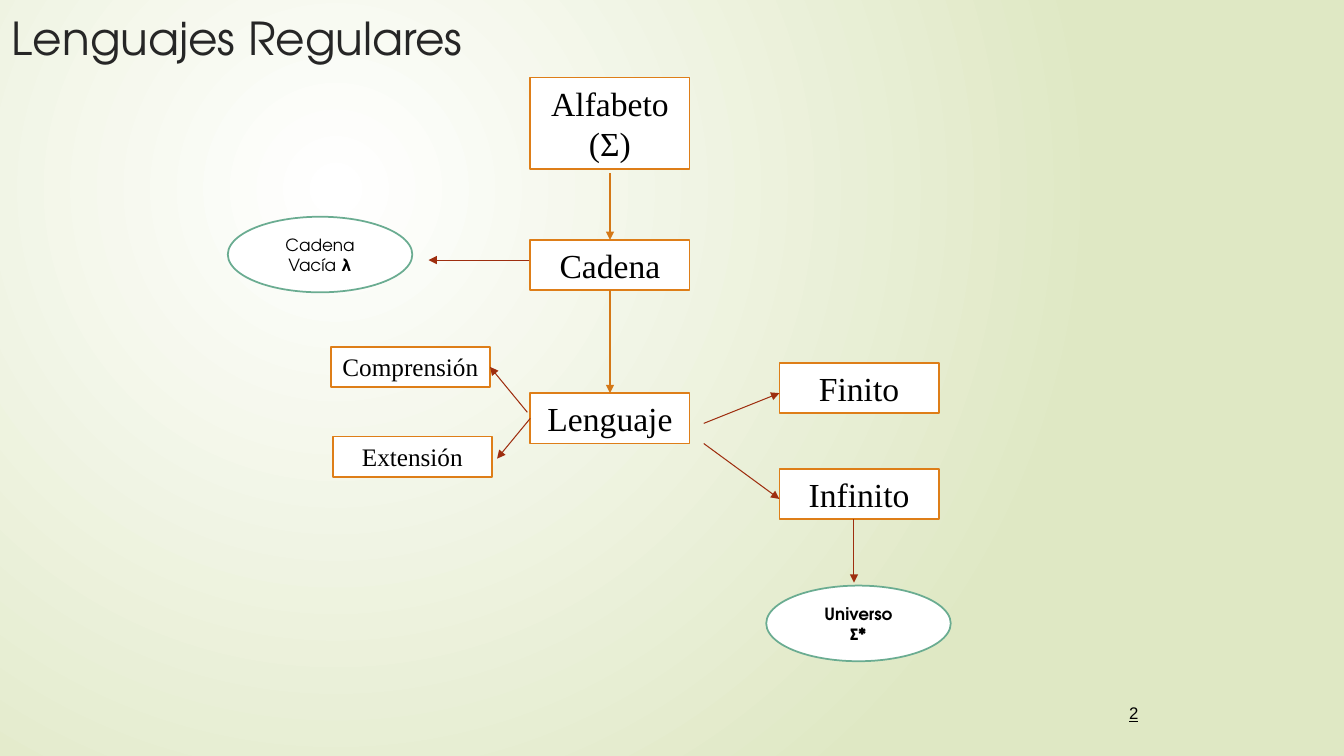
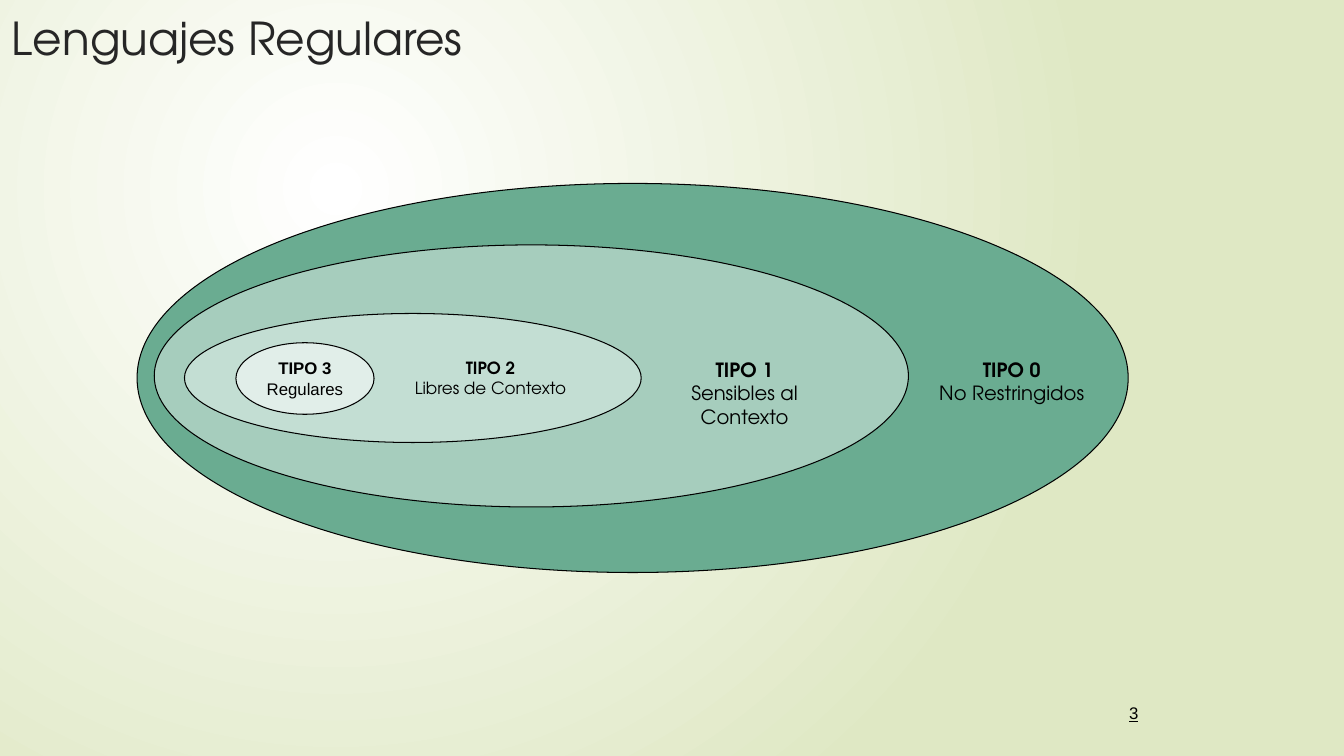
import pptx
import pptx.dml.color
import pptx.enum.shapes
import pptx.enum.text
import pptx.oxml
import pptx.oxml.ns
import pptx.util
from lxml import etree

SCALE = 9144  # EMU per px, 100 px to the inch
COLORS = {
    "black": "000000",
    "title": "262626",
    "white": "FFFFFF",
    "backdrop": "DFE8C4",
    "box_line": "DE7E18",
    "flow": "D47817",
    "branch": "9E2E0F",
    "green": "6AAC91",
    "type_1": "A6CDBD",
    "type_2": "C3DED3",
    "type_3": "E1EEE9",
}
SANS, SERIF, PLAIN = "TeX Gyre Adventor", "Times New Roman", "Arial"
RECTANGLE = pptx.enum.shapes.MSO_SHAPE.RECTANGLE
OVAL = pptx.enum.shapes.MSO_SHAPE.OVAL
ALIGN = pptx.enum.text.PP_ALIGN
ANCHOR = pptx.enum.text.MSO_ANCHOR
TOP, LEFT, BOTTOM, RIGHT = range(4)
qn = pptx.oxml.ns.qn


def px(*lengths):
    return [pptx.util.Emu(length * SCALE) for length in lengths]


def rgb(name):
    return pptx.dml.color.RGBColor.from_string(COLORS[name])


def write(shape, paragraphs, font, size, color="black", align=ALIGN.CENTER,
          anchor=ANCHOR.TOP, underline=False):
    """Each paragraph is a list of (text, bold) runs."""
    frame = shape.text_frame
    frame.word_wrap = True
    frame.vertical_anchor = anchor
    for index, runs in enumerate(paragraphs):
        paragraph = frame.add_paragraph() if index else frame.paragraphs[0]
        paragraph.alignment = align
        for text, bold in runs:
            run = paragraph.add_run()
            run.text = text
            run.font.name = font
            run.font.size = pptx.util.Pt(size)
            run.font.bold = bold
            run.font.underline = underline
            run.font.color.rgb = rgb(color)


def add_text(slide, box, paragraphs, font, size, **style):
    shape = slide.shapes.add_textbox(*px(*box))
    write(shape, paragraphs, font, size, **style)


def add_outlined(slide, kind, box, fill, line, width):
    shape = slide.shapes.add_shape(kind, *px(*box))
    shape.shadow.inherit = False
    shape.fill.solid()
    shape.fill.fore_color.rgb = rgb(fill)
    shape.line.color.rgb = rgb(line)
    shape.line.width = pptx.util.Pt(width)
    return shape


def add_arrow(slide, start, end, color):
    """An end is a point (x, y) or a pair (shape, side)."""
    connector = slide.shapes.add_connector(
        pptx.enum.shapes.MSO_CONNECTOR.STRAIGHT, 0, 0, 0, 0)
    if isinstance(start[0], int):
        connector.begin_x, connector.begin_y = px(*start)
    else:
        connector.begin_connect(*start)
    if isinstance(end[0], int):
        connector.end_x, connector.end_y = px(*end)
    else:
        connector.end_connect(*end)
    connector.line.color.rgb = rgb(color)
    connector.line.width = pptx.util.Pt(0.75)
    properties = connector._element.spPr
    etree.SubElement(properties.find(qn("a:ln")), qn("a:tailEnd"), type="triangle")
    etree.SubElement(properties, qn("a:effectLst"))


def set_background(master):
    fill = master.background.fill
    fill.gradient()
    for stop, name in zip(fill.gradient_stops, ("white", "backdrop")):
        stop.color.rgb = rgb(name)
    # Radial gradient centred on the upper left quarter
    gradient = master.background._cSld.find(".//" + qn("a:gradFill"))
    gradient.remove(gradient.find(qn("a:lin")))
    radial = etree.SubElement(gradient, qn("a:path"), path="circle")
    etree.SubElement(radial, qn("a:fillToRect"),
                     l="50000", t="50000", r="100000", b="100000")


def add_slide(presentation, number):
    slide = presentation.slides.add_slide(presentation.slide_layouts[6])
    add_text(slide, (2, 5, 983, 75), [[("Lenguajes Regulares", False)]],
             SANS, 32.4, color="title", align=ALIGN.LEFT)
    add_text(slide, (1033, 682, 106, 50), [[(str(number), False)]], PLAIN, 12,
             align=ALIGN.RIGHT, anchor=ANCHOR.MIDDLE, underline=True)
    return slide


def add_concept_map(slide, left, top):
    # Concept boxes
    concepts = {}
    for text, x, y, height, size in (
        ("Alfabeto (Σ)", 300, 0, 91, 24),
        ("Cadena", 300, 161, 50, 24),
        ("Lenguaje", 300, 313, 50, 24),
        ("Finito", 547, 283, 50, 24),
        ("Infinito", 547, 388, 50, 24),
        ("Extensión", 104, 356, 40, 18),
        ("Comprensión", 102, 267, 40, 18),
    ):
        box = (left + x, top + y, 158, height)
        shape = add_outlined(slide, RECTANGLE, box, "white", "box_line", 1.25)
        write(shape, [[(text, False)]], SERIF, size)
        concepts[text] = shape

    # Special cases in ovals
    for x, y, paragraphs in (
        (0, 138, [[("Cadena Vacía ", False), ("λ", True)]]),
        (534, 504, [[("Universo", True)], [("Σ*", True)]]),
    ):
        box = (left + x, top + y, 183, 75)
        shape = add_outlined(slide, OVAL, box, "white", "green", 1.25)
        write(shape, paragraphs, SANS, 12, anchor=ANCHOR.MIDDLE)

    # Arrows
    def place(end):
        if isinstance(end[0], str):
            return concepts[end[0]], end[1]
        return left + end[0], top + end[1]

    for start, end, color in (
        ((379, 95), ("Cadena", TOP), "flow"),
        (("Cadena", BOTTOM), ("Lenguaje", TOP), "flow"),
        ((299, 181), (199, 181), "branch"),
        ((472, 343), (547, 313), "branch"),
        ((472, 363), (547, 418), "branch"),
        ((621, 438), (621, 501), "branch"),
        (("Lenguaje", LEFT), (267, 378), "branch"),
        ((297, 332), ("Comprensión", RIGHT), "branch"),
    ):
        add_arrow(slide, place(start), place(end), color)


def add_hierarchy(slide, left, top):
    # Nested sets, outermost first
    for x, y, width, height, fill in (
        (0, 0, 983, 386, "green"),
        (17, 61, 748, 260, "type_1"),
        (47, 129, 453, 128, "type_2"),
        (98, 158, 137, 71, "type_3"),
    ):
        innermost = add_outlined(slide, OVAL, (left + x, top + y, width, height),
                                 fill, "black", 0.75)
    write(innermost, [[("TIPO 3", True)], [("Regulares", False)]], PLAIN, 12)

    # Labels of the outer sets
    for x, height, size, heading, description in (
        (253, 50, 12, "TIPO 2", "Libres de Contexto"),
        (505, 81, 14, "TIPO 1", "Sensibles al Contexto"),
        (770, 57, 14, "TIPO 0", "No Restringidos"),
    ):
        add_text(slide, (left + x, top + 168, 195, height),
                 [[(heading, True)], [(description, False)]], SANS, size)


def main():
    presentation = pptx.Presentation()
    presentation.slide_width, presentation.slide_height = px(1333, 750)
    set_background(presentation.slide_master)
    add_concept_map(add_slide(presentation, 2), 226, 77)
    add_hierarchy(add_slide(presentation, 3), 136, 182)
    presentation.save("out.pptx")


if __name__ == "__main__":
    main()
